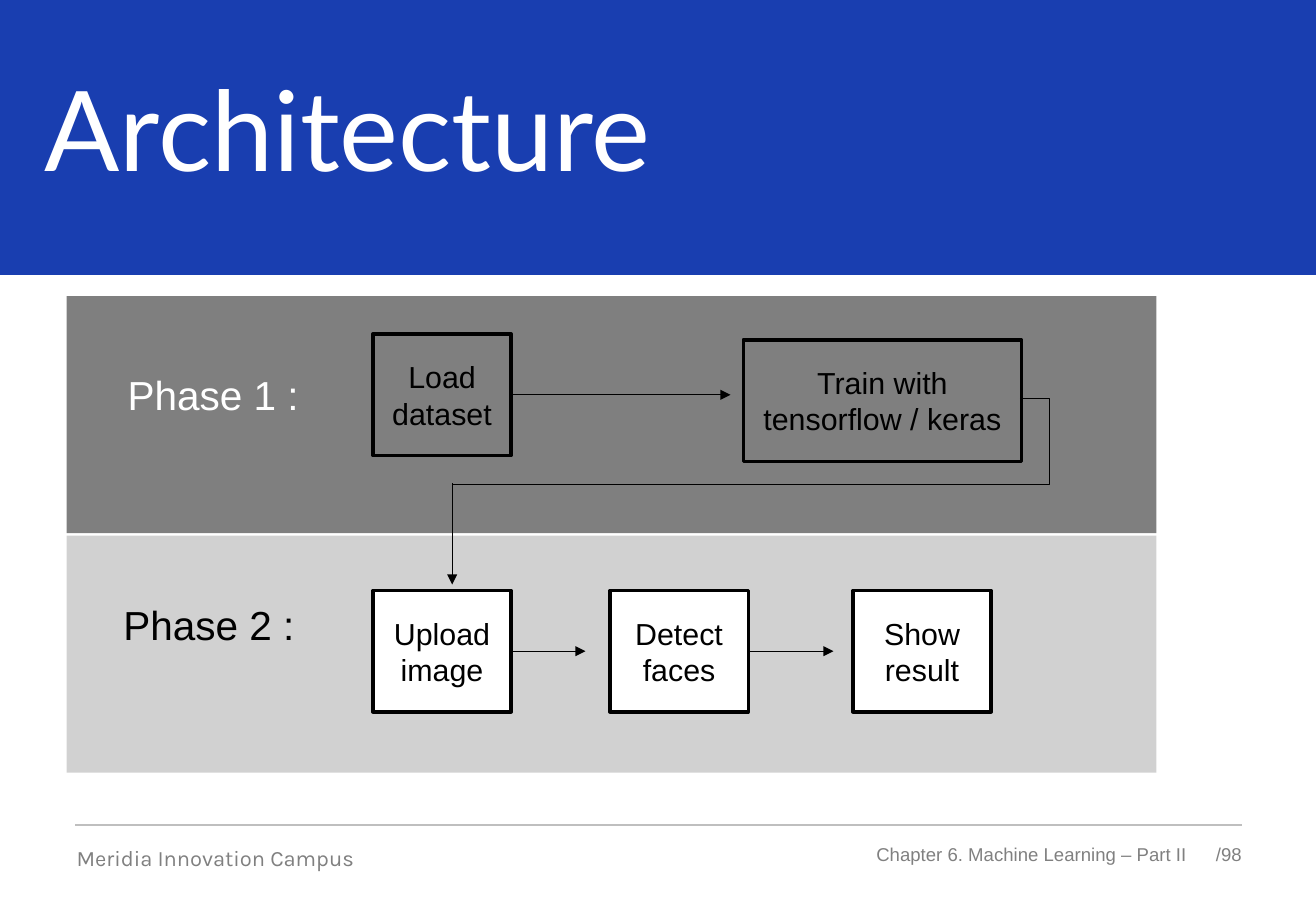
from dataclasses import dataclass

from lxml.etree import SubElement
from pptx import Presentation
from pptx.dml.color import RGBColor
from pptx.enum.shapes import MSO_CONNECTOR as Connector, MSO_SHAPE as Shape
from pptx.enum.text import MSO_ANCHOR as Anchor, PP_ALIGN as Align
from pptx.oxml.ns import qn
from pptx.util import Pt

# Content: boxes are (text, left, top, width)
TITLE = "Architecture"
BOXES = [
    ("Load dataset", 221, 198, 82),
    ("Train with tensorflow / keras", 440.5, 201.5, 165),
    ("Upload image", 221, 350, 82),
    ("Detect faces", 361.5, 350, 82),
    ("Show result", 505.5, 350, 82),
]
# Arrows: (start, end)
ARROWS = [
    ((303, 234), (433, 234)),
    ((268, 286.5), (268, 346.5)),
    ((303, 386), (347, 386)),
    ((443.5, 386), (494, 386)),
]
RETURN_START, RETURN_END, RETURN_BEND = (604.5, 236), (268.5, 287), 622
# Labels: (text, left, top)
PHASES = {"Phase 1 :": (68.5, 216), "Phase 2 :": (66, 352)}
# Footer: (text, left, top, width, height)
CAMPUS = ("Meridia Innovation Campus", 45.5, 500.5, 227.5, 16)
CHAPTER = ("Chapter 6. Machine Learning – Part II", 500.5, 499.5, 203, 13)
PAGE = ("/98", 693.5, 493, 42.5, 27)

BAND_LEFT, BAND_WIDTH, BAND_HEIGHT = 39.5, 646, 140.5
PHASE_1_TOP, PHASE_2_TOP = 175.5, 317.5
BOX_HEIGHT = 72


@dataclass(frozen=True)
class Theme:
    blue: str = "193EB0"
    white: str = "FFFFFF"
    black: str = "000000"
    gray: str = "A5A5A5"
    rule: str = "BFBFBF"
    muted: str = "808080"
    font: str = "Arial"
    title_font: str = "Lato"
    campus_font: str = "Karla"
    title_size: float = 66
    phase_size: float = 24
    box_size: float = 18
    campus_size: float = 13
    footer_size: float = 11


theme = Theme()


def rgb(value):
    return RGBColor.from_string(value)


def write(shape, text, size, color, font=theme.font, align=Align.LEFT,
          anchor=Anchor.TOP, inset=True, wrap=True):
    frame = shape.text_frame
    frame.word_wrap = wrap
    frame.vertical_anchor = anchor
    if not inset:
        frame.margin_left = frame.margin_right = 0
        frame.margin_top = frame.margin_bottom = 0
    paragraph = frame.paragraphs[0]
    paragraph.text = text
    paragraph.alignment = align
    paragraph.font.size = Pt(size)
    paragraph.font.name = font
    paragraph.font.color.rgb = rgb(color)
    return paragraph


def add_rectangle(left, top, width, height, fill, opacity=None):
    shape = slide.shapes.add_shape(
        Shape.RECTANGLE, Pt(left), Pt(top), Pt(width), Pt(height))
    shape.shadow.inherit = False
    shape.fill.solid()
    shape.fill.fore_color.rgb = rgb(fill)
    shape.line.fill.background()
    if opacity is not None:
        color = shape.element.spPr.find(".//" + qn("a:srgbClr"))
        SubElement(color, qn("a:alpha"), val=str(opacity * 1000))
    return shape


def add_text(text, left, top, width, height, size, color, **style):
    box = slide.shapes.add_textbox(Pt(left), Pt(top), Pt(width), Pt(height))
    write(box, text, size, color, **style)


def add_line(start, end, color=theme.black, kind=Connector.STRAIGHT, arrow=False):
    line = slide.shapes.add_connector(kind, *map(Pt, start + end))
    line.line.color.rgb = rgb(color)
    line.line.width = Pt(0.75)
    properties = line.element.spPr
    SubElement(properties, qn("a:effectLst"))
    if arrow:
        SubElement(properties.find(qn("a:ln")), qn("a:tailEnd"), type="triangle")
    return line


presentation = Presentation()
presentation.slide_width, presentation.slide_height = Pt(780), Pt(540)
slide = presentation.slides.add_slide(presentation.slide_layouts[5])

# Header and title
add_rectangle(0, 0, 780, 163, theme.blue)
title = slide.shapes.title
title.left, title.top, title.width, title.height = map(Pt, (26.5, 35.5, 702, 90))
heading = write(title, TITLE, theme.title_size, theme.white, font=theme.title_font,
                anchor=Anchor.MIDDLE, inset=False)
heading.line_spacing = 0.9
title.element.getparent().append(title.element)

# Footer
add_line((44.5, 489), (736, 489), theme.rule)
add_text(*CAMPUS, theme.campus_size, theme.muted, font=theme.campus_font, inset=False)
add_text(*CHAPTER, theme.footer_size, theme.muted, align=Align.RIGHT,
         anchor=Anchor.MIDDLE, inset=False, wrap=False)
add_text(*PAGE, theme.footer_size, theme.muted, align=Align.RIGHT,
         anchor=Anchor.MIDDLE, inset=False)

# Phase 2 band lies behind the steps
add_rectangle(BAND_LEFT, PHASE_2_TOP, BAND_WIDTH, BAND_HEIGHT, theme.gray, 50)

# Steps
for text, left, top, width in BOXES:
    step = add_rectangle(left, top, width, BOX_HEIGHT, theme.white)
    step.line.color.rgb = rgb(theme.black)
    step.line.width = Pt(2)
    write(step, text, theme.box_size, theme.black, align=Align.CENTER,
          anchor=Anchor.MIDDLE)

# Arrows, and the elbow from training back to phase 2
for start, end in ARROWS:
    add_line(start, end, arrow=True)
elbow = add_line(RETURN_START, RETURN_END, kind=Connector.ELBOW)
bend = (RETURN_START[0] - RETURN_BEND) / (RETURN_START[0] - RETURN_END[0])
geometry = elbow.element.spPr.find(qn("a:prstGeom"))
adjustments = geometry.find(qn("a:avLst"))
SubElement(adjustments, qn("a:gd"), name="adj1", fmla=f"val {round(bend * 100000)}")

# Phase 1 band shades its steps from the front
add_rectangle(BAND_LEFT, PHASE_1_TOP, BAND_WIDTH, BAND_HEIGHT, theme.black, 50)

# Phase labels
for (text, (left, top)), color in zip(PHASES.items(), (theme.white, theme.black)):
    add_text(text, left, top, 117.5, 36, theme.phase_size, color)

presentation.save("out.pptx")
